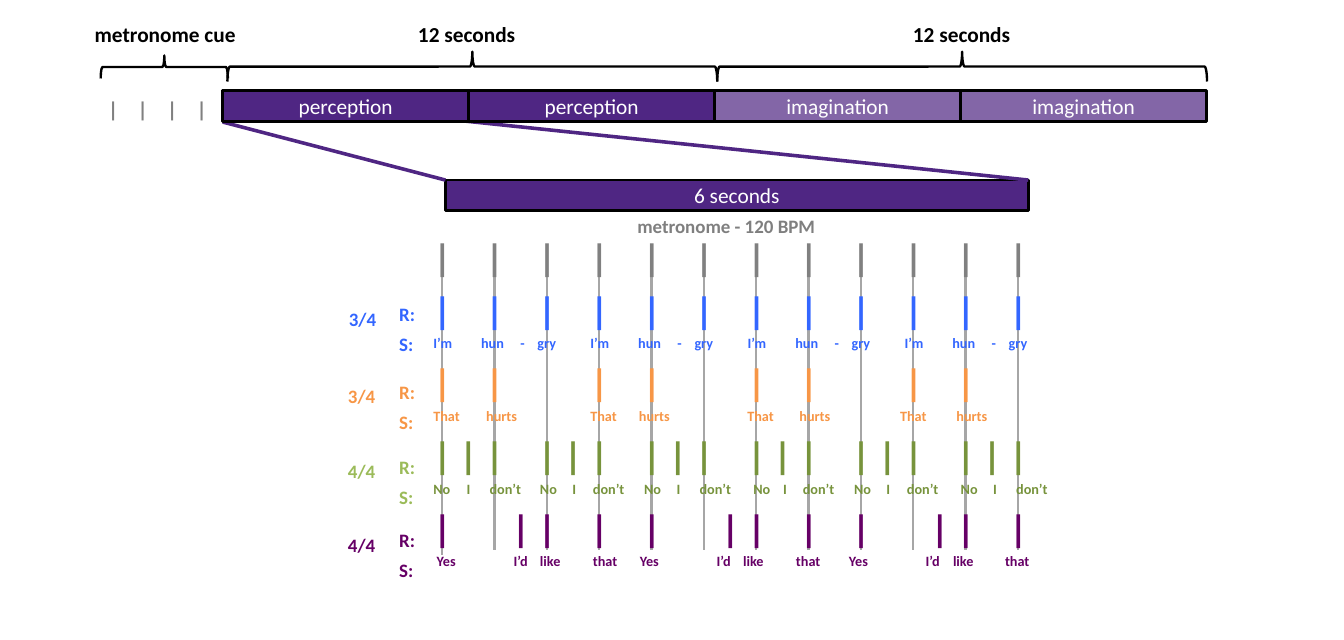
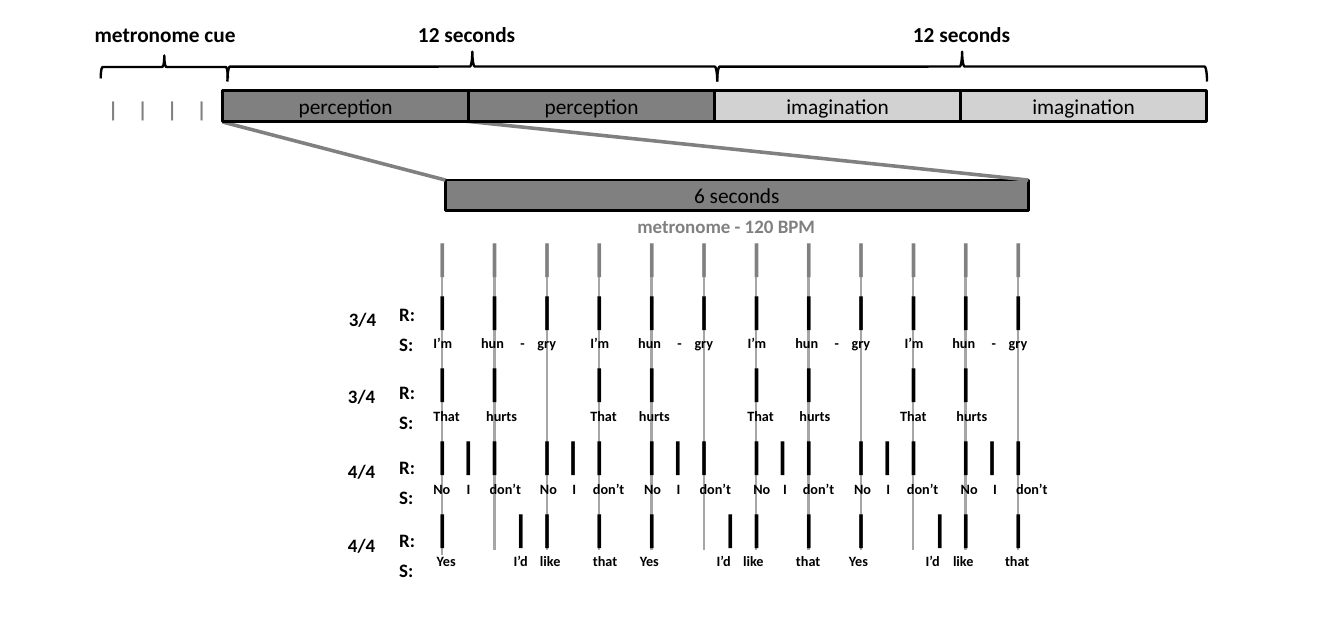
from pptx import Presentation
from pptx.dml.color import RGBColor
from pptx.enum.shapes import MSO_CONNECTOR, MSO_SHAPE
from pptx.enum.text import MSO_ANCHOR, PP_ALIGN
from pptx.oxml.ns import qn
from pptx.util import Inches, Pt
from lxml import etree

STRAIGHT = MSO_CONNECTOR.STRAIGHT
RECTANGLE, BRACE = MSO_SHAPE.RECTANGLE, MSO_SHAPE.LEFT_BRACE
LEFT, CENTER = PP_ALIGN.LEFT, PP_ALIGN.CENTER
MIDDLE = MSO_ANCHOR.MIDDLE
hex_color = RGBColor.from_string

FONT = "Calibri"
BLACK, GRAY, GRID = "000000", "808080", "A6A6A6"
FIRST_BEAT, LAST_BEAT, BEATS = 5.18, 11.93, 12
BEAT = (LAST_BEAT - FIRST_BEAT) / (BEATS - 1)
PERIOD_LEFT, PERIOD_WIDTH = 2.61, (14.14 - 2.61) / 4

# Rhythms: metre, label place, beats struck, words and where each word starts
RHYTHMS = [
    ("3/4", 3.99, 3.55, range(BEATS), ["I’m", "hun", "-", "gry"] * 4,
     [3 * BEAT * bar + start for bar in range(4) for start in (0, 0.56, 1.02, 1.22)]),
    ("3/4", 3.98, 4.46, [3 * bar + beat for bar in range(4) for beat in (0, 1)],
     ["That", "hurts"] * 4,
     [0, 0.62, 1.84, 2.41, 3.68, 4.29, 5.47, 6.13]),
    ("4/4", 3.98, 5.34, [2 * bar + beat for bar in range(6) for beat in (0, 0.5, 1)],
     ["No", "I", "don’t"] * 6,
     [0, 0.39, 0.66, 1.25, 1.63, 1.87, 2.47, 2.85, 3.12,
      3.75, 4.1, 4.33, 4.93, 5.31, 5.55, 6.18, 6.56, 6.83]),
    ("4/4", 3.98, 6.2, [4 * bar + beat for bar in range(3) for beat in (0, 1.5, 2, 3)],
     ["Yes", "I’d", "like", "that"] * 3,
     [0.04, 0.94, 1.25, 1.87, 2.42, 3.32, 3.63, 4.25, 4.87, 5.77, 6.09, 6.7]),
]

# One colour scheme per slide
SCHEMES = [
    {"perception": "4F2683", "imagination": "4F2683", "bar text": "FFFFFF",
     "tempo": "7F7F7F",
     "marks": ["3366FF", "F79646", "77933C", "660066"],
     "labels": ["3366FF", "F79646", "9BBB59", "660066"]},
    {"perception": GRAY, "imagination": "BFBFBF", "bar text": BLACK,
     "tempo": GRAY, "marks": [BLACK] * 4, "labels": [BLACK] * 4},
]


def write(frame, text, size=18, color=BLACK, bold=True, align=LEFT, before=0, stops=()):
    """Add a paragraph; a list of texts is set out on the given tab stops."""
    paragraph = frame.add_paragraph() if frame.text else frame.paragraphs[0]
    if stops:
        tabs = etree.SubElement(paragraph._p.get_or_add_pPr(), qn("a:tabLst"))
        for stop in stops:
            if stop > 0:
                etree.SubElement(tabs, qn("a:tab"), pos=str(Inches(stop)), algn="l")
        text = "".join(("\t" if stop > 0 else "") + word
                       for word, stop in zip(text, stops))
    paragraph.alignment = align
    paragraph.space_before = Pt(before)
    span = paragraph.add_run()
    span.text = text
    span.font.name, span.font.size, span.font.bold = FONT, Pt(size), bold
    span.font.color.rgb = hex_color(color)


def draw_line(page, start, end, color, width):
    line = page.shapes.add_connector(STRAIGHT, *map(Inches, start + end))
    line.line.color.rgb = hex_color(color)
    line.line.width = Pt(width)
    etree.SubElement(line.element.spPr, qn("a:effectLst"))


deck = Presentation()
deck.slide_width, deck.slide_height = Inches(15.75), Inches(7.5)

for scheme in SCHEMES:
    page = deck.slides.add_slide(deck.slide_layouts[6])

    # Beat grid, with the first line a little lower
    for beat in range(BEATS):
        x, top = FIRST_BEAT + beat * BEAT, 3.1 if beat else 3.15
        draw_line(page, (x, top), (x, top + 3.35), GRID, 2)

    # Score: metronome, then strokes and words of each rhythm
    score = page.shapes.add_textbox(
        Inches(4.98), Inches(2.69), Inches(7.64), Inches(4.3))
    frame = score.text_frame
    frame.word_wrap = True
    write(frame, "|" * BEATS, size=32, color=GRAY,
          stops=[beat * BEAT for beat in range(BEATS)])
    for (metre, x, y, beats, words, starts), color in zip(RHYTHMS, scheme["marks"]):
        write(frame, "|" * len(beats), size=32, color=color, before=6,
              stops=[beat * BEAT for beat in beats])
        write(frame, words, size=12, color=color, before=2.4, stops=starts)

    # Trial bars: one enlarged period below, four periods above
    periods = page.shapes.add_group_shape()
    bars = [(page, 5.22, 2.11, 6.83, "6 seconds", "perception")]
    for index, name in enumerate(["perception"] * 2 + ["imagination"] * 2):
        bars.append((periods, PERIOD_LEFT + PERIOD_WIDTH * index, 1.06,
                     PERIOD_WIDTH, name, name))
    for parent, x, y, width, text, kind in bars:
        bar = parent.shapes.add_shape(
            RECTANGLE, Inches(x), Inches(y), Inches(width), Inches(0.36))
        bar.shadow.inherit = False
        bar.fill.solid()
        bar.fill.fore_color.rgb = hex_color(scheme[kind])
        if kind == "imagination":
            fill = bar.element.spPr.find(".//" + qn("a:srgbClr"))
            etree.SubElement(fill, qn("a:alpha"), val="70000")
        bar.line.color.rgb = hex_color(BLACK)
        bar.line.width = Pt(2.5)
        bar.text_frame.vertical_anchor = MIDDLE
        write(bar.text_frame, text, color=scheme["bar text"], bold=False, align=CENTER)

    # Zoom lines, behind the four periods
    draw_line(page, (2.61, 1.43), (5.22, 2.11), scheme["perception"], 3)
    draw_line(page, (5.27, 1.4), (12.05, 2.11), scheme["perception"], 3)
    periods.element.getparent().append(periods.element)

    # Braces, turned so that they point up
    for x, y, width, height in [(1.79, 0.04, 0.27, 1.49), (5.36, -2.09, 0.35, 5.74),
                                (11.1, -2.09, 0.35, 5.74)]:
        brace = page.shapes.add_shape(
            BRACE, Inches(x), Inches(y), Inches(width), Inches(height))
        brace.rotation = 90
        brace.shadow.inherit = False
        brace.fill.background()
        brace.line.color.rgb = hex_color(BLACK)
        brace.line.width = Pt(2)

    # Captions and rhythm labels
    captions = [
        (0.94, 0.2, 1.99, 0.4, ["metronome cue"], 18, BLACK, CENTER),
        (4.8, 0.2, 1.34, 0.4, ["12 seconds"], 18, BLACK, LEFT),
        (10.6, 0.2, 1.34, 0.4, ["12 seconds"], 18, BLACK, LEFT),
        (7.37, 2.47, 2.32, 0.37, ["metronome - 120 BPM"], 16, scheme["tempo"], LEFT),
    ]
    for (metre, x, y, *score_rows), color in zip(RHYTHMS, scheme["labels"]):
        captions.append((x, y, 0.53, 0.37, [metre], 16, color, LEFT))
        captions.append((4.58, y - 0.05, 0.39, 0.72, ["R:", "S:"], 16, color, LEFT))
    for x, y, width, height, lines, size, color, align in captions:
        box = page.shapes.add_textbox(
            Inches(x), Inches(y), Inches(width), Inches(height))
        box.text_frame.word_wrap = False
        for index, text in enumerate(lines):
            write(box.text_frame, text, size=size, color=color, align=align,
                  before=6 * index)

    # Metronome cue strokes
    cue = page.shapes.add_textbox(Inches(1.12), Inches(1.08), Inches(1.49), Inches(0.4))
    cue.text_frame.word_wrap = True
    write(cue.text_frame, "||||", color=GRAY,
          stops=[0.05 + 0.345 * stroke for stroke in range(4)])

deck.save("out.pptx")
